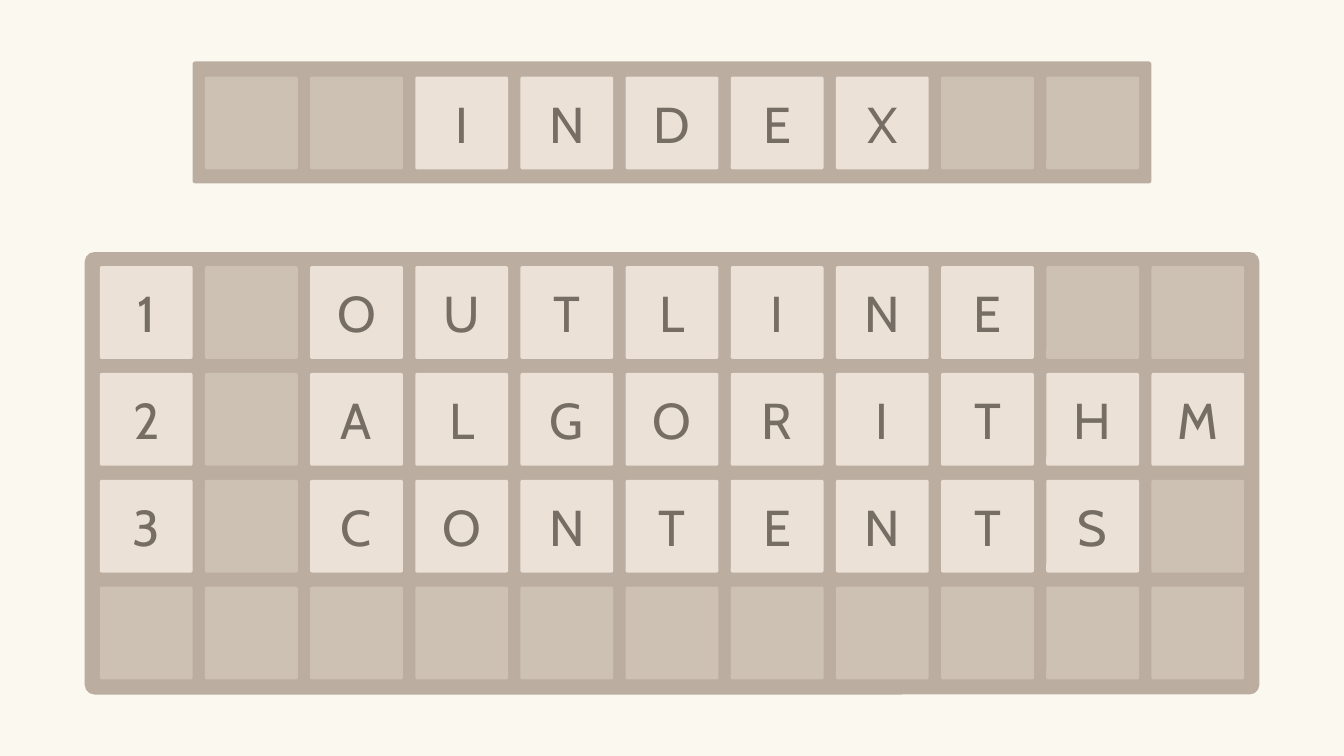
from dataclasses import dataclass

from pptx import Presentation
from pptx.dml.color import RGBColor
from pptx.enum.shapes import MSO_SHAPE as Shape
from pptx.enum.text import MSO_ANCHOR as Anchor, PP_ALIGN as Align
from pptx.shapes.autoshape import Shape as AutoShape
from pptx.slide import Slide
from pptx.util import Inches, Pt


@dataclass(frozen=True)
class Theme:
    background: str = "FAF8EF"
    board: str = "BBADA0"
    empty_tile: str = "CDC1B4"
    letter_tile: str = "EBE1D7"
    letter: str = "766D64"
    font: str = "Cabin"
    letter_size: int = 36


@dataclass(frozen=True)
class Board:
    left: float
    top: float
    width: float
    height: float
    first_column: int
    first_row_top: float
    rows: tuple[str, ...]


THEME = Theme()
TILE = 0.92
FIRST_TILE_LEFT = 0.99
LAST_TILE_LEFT = 11.42
COLUMN_PITCH = (LAST_TILE_LEFT - FIRST_TILE_LEFT) / 10
ROW_PITCH = 1.06
BOARD_ROUNDING = 0.022
TILE_ROUNDING = 0.02
EMPTY = "."

BOARDS = (
    Board(1.91, 0.61, 9.51, 1.21, 1, 0.76, ("..INDEX..",)),
    Board(0.84, 2.5, 11.65, 4.39, 0, 2.64,
          ("1.OUTLINE..", "2.ALGORITHM", "3.CONTENTS.", EMPTY * 11)),
)


def add_rounded(s: Slide, left: float, top: float, width: float, height: float,
                rounding: float, color: str) -> AutoShape:
    sp = s.shapes.add_shape(Shape.ROUNDED_RECTANGLE, Inches(left), Inches(top),
                            Inches(width), Inches(height))
    sp.adjustments[0] = rounding
    sp.shadow.inherit = False
    sp.fill.solid()
    sp.fill.fore_color.rgb = RGBColor.from_string(color)
    sp.line.fill.background()
    return sp


def add_tile(s: Slide, left: float, top: float, letter: str) -> None:
    color = THEME.empty_tile if letter == EMPTY else THEME.letter_tile
    sp = add_rounded(s, left, top, TILE, TILE, TILE_ROUNDING, color)
    if letter == EMPTY:
        return
    tf = sp.text_frame
    tf.vertical_anchor = Anchor.MIDDLE
    p = tf.paragraphs[0]
    p.text = letter
    p.alignment = Align.CENTER
    p.font.name = THEME.font
    p.font.size = Pt(THEME.letter_size)
    p.font.color.rgb = RGBColor.from_string(THEME.letter)


def add_board(s: Slide, board: Board) -> None:
    add_rounded(s, board.left, board.top, board.width, board.height,
                BOARD_ROUNDING, THEME.board)
    for row, letters in enumerate(board.rows):
        top = board.first_row_top + row * ROW_PITCH
        for column, letter in enumerate(letters, board.first_column):
            add_tile(s, FIRST_TILE_LEFT + column * COLUMN_PITCH, top, letter)


def main() -> None:
    prs = Presentation()
    prs.slide_width = Inches(13.33)
    prs.slide_height = Inches(7.5)
    s = prs.slides.add_slide(prs.slide_layouts[6])
    s.background.fill.solid()
    s.background.fill.fore_color.rgb = RGBColor.from_string(THEME.background)
    for board in BOARDS:
        add_board(s, board)
    prs.save("out.pptx")


if __name__ == "__main__":
    main()
